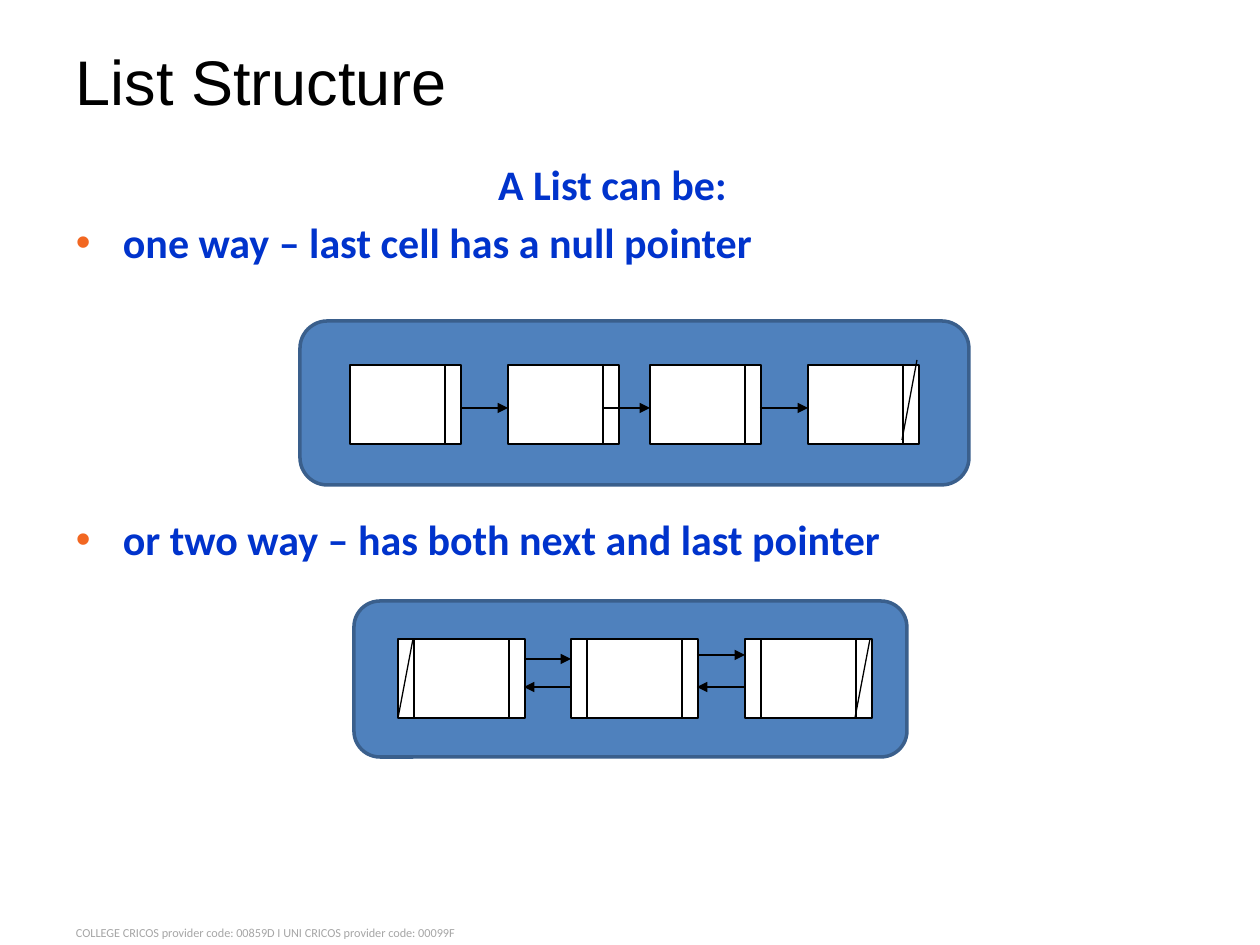
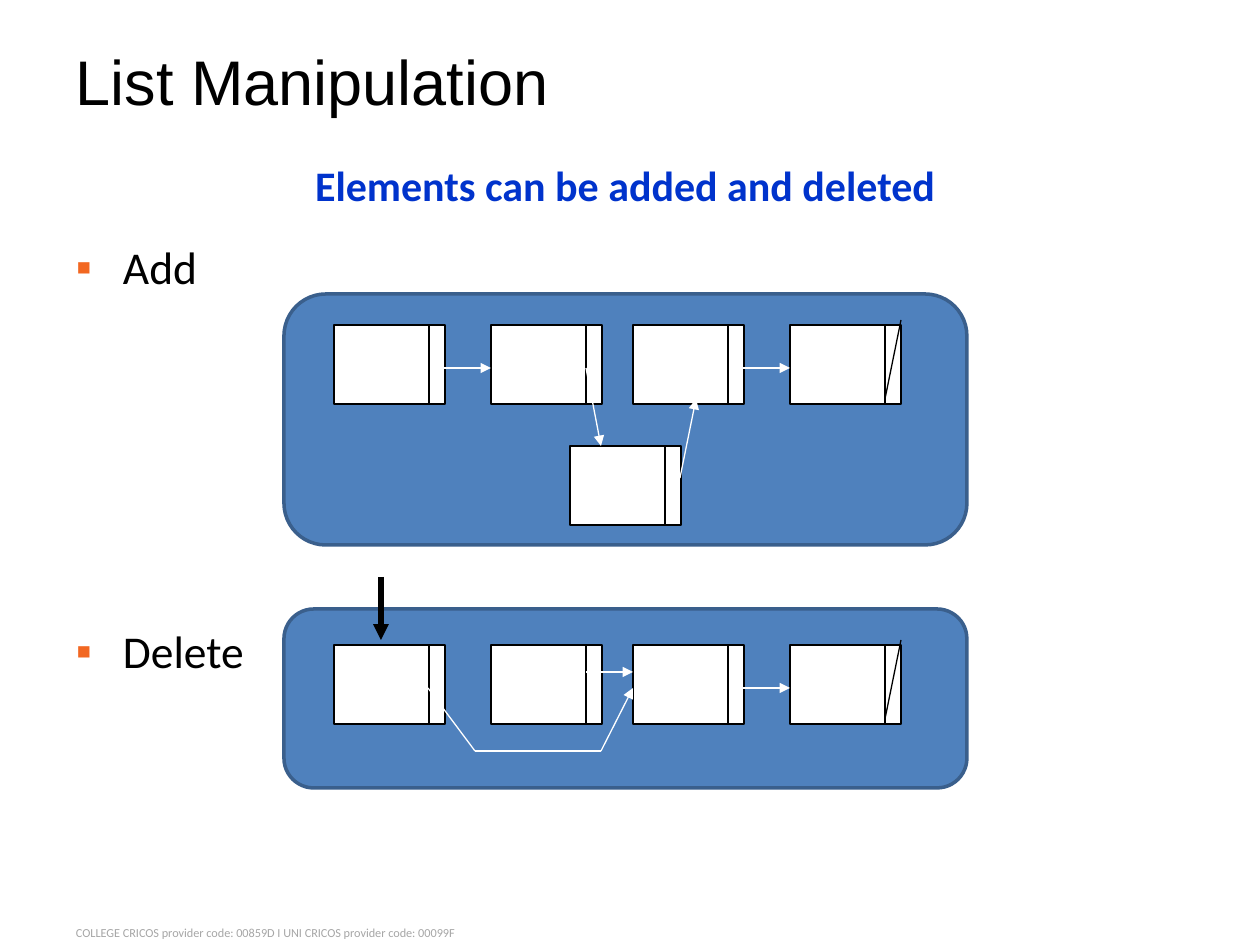
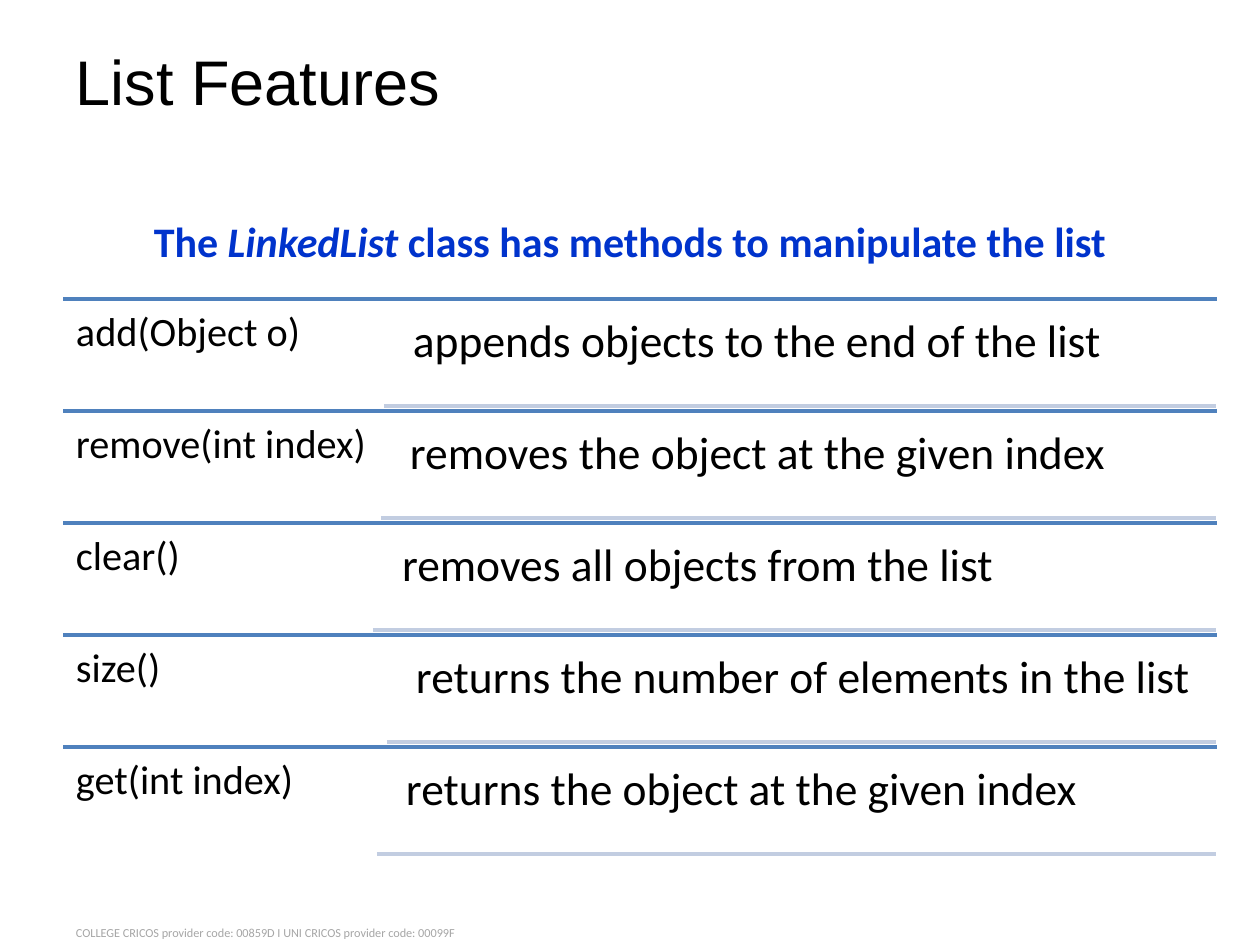
import dataclasses

import pptx
import pptx.dml.color
import pptx.enum.shapes
import pptx.enum.text
import pptx.oxml.ns
import pptx.util
from lxml import etree

PX = 914400 / 126
SHAPE = pptx.enum.shapes.MSO_SHAPE
ALIGN = pptx.enum.text.PP_ALIGN
ANCHOR = pptx.enum.text.MSO_ANCHOR
qn = pptx.oxml.ns.qn


@dataclasses.dataclass(frozen=True)
class Theme:
    heading_font: str = "Arial"
    body_font: str = "Calibri"
    black: str = "000000"
    white: str = "FFFFFF"
    blue: str = "0033CC"
    orange: str = "F26721"
    grey: str = "A6A6A6"
    panel: str = "4F81BD"
    panel_edge: str = "3A5F8C"
    pale_rule: str = "C2CDE1"
    title_size: int = 36
    text_size: int = 26
    lead_size: int = 24
    method_size: int = 23
    footer_size: int = 7
    thin: float = 0.75
    medium: int = 2
    thick: int = 3


T = Theme()
rgb = pptx.dml.color.RGBColor.from_string


def add_text(s, box, lines, size, color, font=T.body_font, bold=False, align=ALIGN.LEFT,
             anchor=ANCHOR.TOP, inset=(13, 6), spacing=None, bullet=None, gaps=()):
    tf = s.shapes.add_textbox(*[round(v * PX) for v in box]).text_frame
    tf.word_wrap = True
    tf.vertical_anchor = anchor
    tf.margin_left = tf.margin_right = round(inset[0] * PX)
    tf.margin_top = tf.margin_bottom = round(inset[1] * PX)
    tf.text = "\n".join(lines)
    for i, p in enumerate(tf.paragraphs):
        p.alignment = align
        if spacing:
            p.line_spacing = spacing
        if i < len(gaps):
            p.space_before = pptx.util.Pt(gaps[i])
        for r in p.runs:
            r.font.name = font
            r.font.size = pptx.util.Pt(size)
            r.font.bold = bold
            r.font.color.rgb = rgb(color)
        if bullet and p.alignment == ALIGN.LEFT:
            pPr = p._p.get_or_add_pPr()
            pPr.set("marL", str(round(47 * PX)))
            pPr.set("indent", str(round(-47 * PX)))
            clr = etree.SubElement(pPr, qn("a:buClr"))
            etree.SubElement(clr, qn("a:srgbClr"), val=T.orange)
            etree.SubElement(pPr, qn("a:buFont"), typeface=T.heading_font)
            etree.SubElement(pPr, qn("a:buChar"), char=bullet)
    return tf


def add_line(s, points, color, width=T.thin, arrow=False):
    c = s.shapes.add_connector(pptx.enum.shapes.MSO_CONNECTOR.STRAIGHT,
                               *[round(v * PX) for v in points])
    c.line.color.rgb = rgb(color)
    c.line.width = pptx.util.Pt(width)
    if arrow:
        etree.SubElement(c.line._get_or_add_ln(), qn("a:tailEnd"), type="triangle")
    etree.SubElement(c._element.spPr, qn("a:effectLst"))


prs = pptx.Presentation()
prs.slide_width = pptx.util.Inches(10)
prs.slide_height = pptx.util.Inches(7.5)

NARROW, WIDE, CELL_H = 16, 95, 79
one_way = [(350 + dx, 365) for dx in (0, 158, 300, 458)]
two_way = [(x, 639) for x in (398, 571, 745)]
added = [(334 + dx, 325) for dx in (0, 157, 299, 456)] + [(570, 446)]
deleted = [(334 + dx, 645) for dx in (0, 157, 299, 456)]

pages = [
    ("List Structure", [(354, 601, 553, 156), (300, 321, 669, 164)], one_way, two_way),
    ("List Manipulation", [(284, 609, 683, 179), (284, 294, 683, 251)], added + deleted, []),
    ("List Features", [], [], []),
]

slides = []
for title, panels, single_cells, double_cells in pages:
    s = prs.slides.add_slide(prs.slide_layouts[6])
    slides.append(s)
    add_text(s, (63, 919, 1115, 26),
             ["COLLEGE CRICOS provider code: 00859D I UNI CRICOS provider code: 00099F"],
             T.footer_size, T.grey)
    add_text(s, (63, 38, 1134, 84), [title], T.title_size, T.black,
             font=T.heading_font, anchor=ANCHOR.MIDDLE)

    boxes = [(SHAPE.ROUNDED_RECTANGLE, panel, T.panel, T.panel_edge, T.medium)
             for panel in panels]
    for x, y in single_cells:
        for left, w in ((x, WIDE), (x + WIDE, NARROW)):
            boxes.append((SHAPE.RECTANGLE, (left, y, w, CELL_H), T.white, T.black, T.thin))
    for x, y in double_cells:
        for left, w in ((x, NARROW), (x + NARROW, WIDE), (x + NARROW + WIDE, NARROW)):
            boxes.append((SHAPE.RECTANGLE, (left, y, w, CELL_H), T.white, T.black, T.thin))
    for kind, box, fill, edge, width in boxes:
        sp = s.shapes.add_shape(kind, *[round(v * PX) for v in box])
        sp.shadow.inherit = False
        sp.fill.solid()
        sp.fill.fore_color.rgb = rgb(fill)
        sp.line.color.rgb = rgb(edge)
        sp.line.width = pptx.util.Pt(width)

structure, manipulation, features = slides

tf = add_text(structure, (63, 152, 1099, 639),
              ["A List can be:", "one way – last cell has a null pointer",
               "or two way – has both next and last pointer"],
              T.lead_size, T.blue, bold=True, bullet="•", gaps=(4.8, 4.8, 141))
lead = tf.paragraphs[0]
lead.alignment = ALIGN.CENTER
pPr = lead._p.get_or_add_pPr()
for tag in ("a:buClr", "a:buFont", "a:buChar"):
    pPr.remove(pPr.find(qn(tag)))
pPr.set("marL", "0")
pPr.set("indent", "0")

for slash in ((917, 360, 902, 440), (413, 639, 398, 718), (870, 639, 855, 718)):
    add_line(structure, slash, T.black)
for x1, x2, y in ((461, 508, 408), (602, 650, 408), (760, 808, 408), (524, 571, 659),
                  (697, 745, 655), (571, 524, 687), (745, 697, 687)):
    add_line(structure, (x1, y, x2, y), T.black, arrow=True)

add_text(manipulation, (63, 154, 1134, 84), ["Elements can be added and deleted "],
         T.lead_size, T.blue, bold=True, align=ALIGN.CENTER)
add_text(manipulation, (63, 239, 1150, 658), ["Add", "Delete"], T.text_size, T.black,
         spacing=0.9, bullet="▪", gaps=(5.2, 191.5))
for y in (320, 640):
    add_line(manipulation, (901, y, 885, y + CELL_H), T.black)
for arrow in ((444, 368, 491, 368), (743, 368, 790, 368), (586, 368, 601, 446),
              (680, 478, 696, 399), (601, 751, 633, 688), (743, 688, 790, 688),
              (586, 672, 633, 672)):
    add_line(manipulation, arrow, T.white, arrow=True)
for bypass in ((428, 688, 475, 751), (601, 751, 475, 751)):
    add_line(manipulation, bypass, T.white)
add_line(manipulation, (381, 577, 381, 640), T.black, T.thick, arrow=True)

tf = add_text(features, (63, 210, 1134, 88), ["The "], T.lead_size, T.blue,
              bold=True, align=ALIGN.CENTER)
for words, italic in (("LinkedList", True), (" class has methods to manipulate the list", False)):
    r = tf.paragraphs[0].add_run()
    r.text = words
    r.font.name = T.body_font
    r.font.size = pptx.util.Pt(T.lead_size)
    r.font.bold = True
    r.font.italic = italic
    r.font.color.rgb = rgb(T.blue)

methods = [
    ("add(Object o)", "appends objects to the end of the list", 384),
    ("remove(int index)", "removes the object at the given index", 381),
    ("clear()", "removes all objects from the list", 373),
    ("size()", "returns the number of elements in the list", 387),
    ("get(int index)", "returns the object at the given index", 377),
]
ROW_H = 112
for i, (method, effect, split) in enumerate(methods):
    y = 299 + i * ROW_H
    add_line(features, (63, y, 1217, y), T.panel, T.medium)
    add_text(features, (63, y, split - 63, ROW_H), [method], T.method_size, T.black,
             inset=(13, 13), spacing=0.9)
    add_text(features, (split + 15, y + 5, 1201 - split, 102), [effect], T.text_size, T.black,
             inset=(14, 14), spacing=0.9)
    add_line(features, (split, y + 107, 1216, y + 107), T.pale_rule, T.medium)

prs.save("out.pptx")
